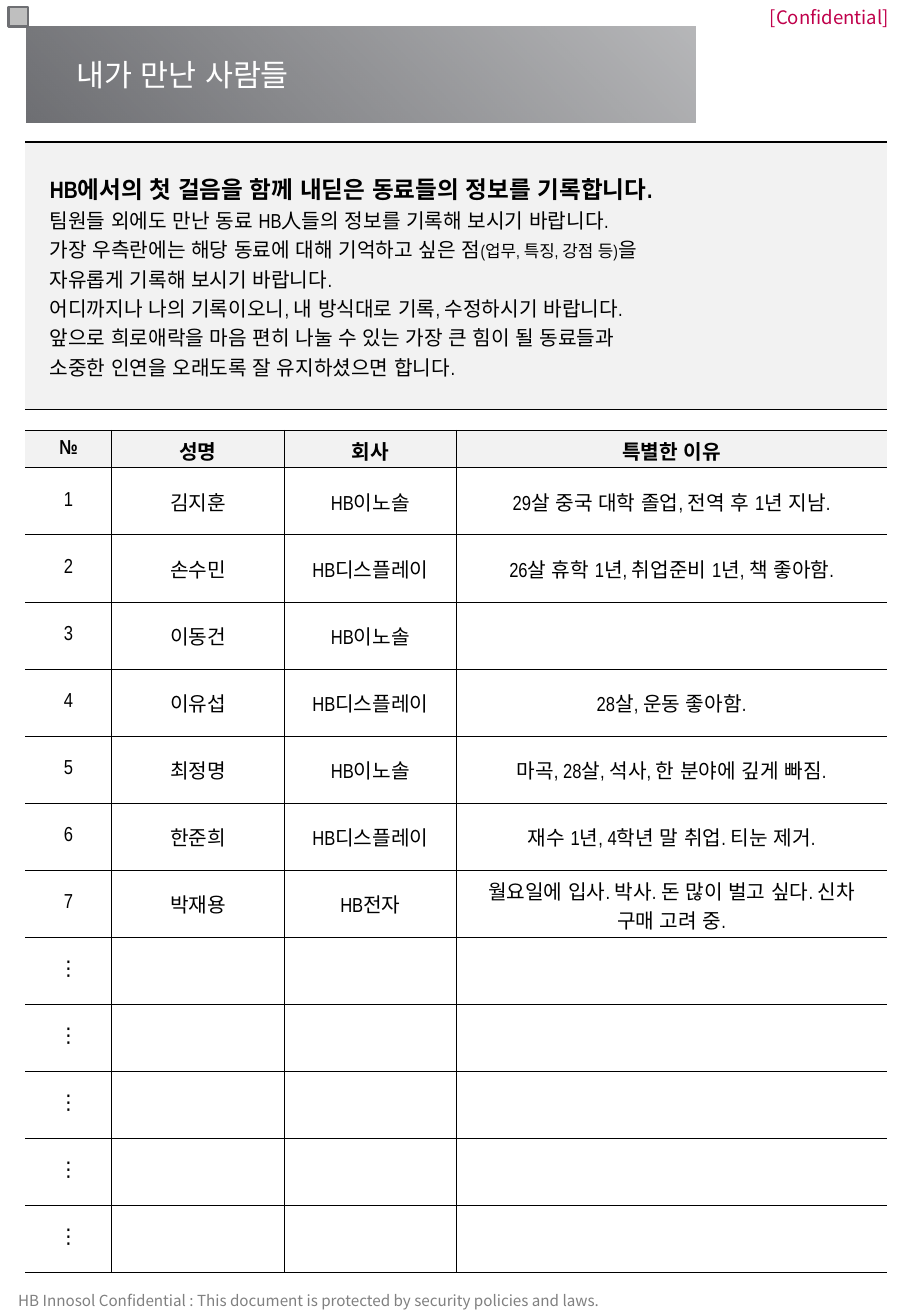
from lxml import etree
from pptx import Presentation
from pptx.dml.color import RGBColor
from pptx.enum.lang import MSO_LANGUAGE_ID
from pptx.enum.shapes import MSO_SHAPE
from pptx.enum.text import MSO_ANCHOR, PP_ALIGN
from pptx.oxml import parse_xml
from pptx.oxml.ns import nsdecls, qn
from pptx.util import Inches, Pt

RECT = MSO_SHAPE.RECTANGLE
MIDDLE, TOP = MSO_ANCHOR.MIDDLE, MSO_ANCHOR.TOP
LEFT, CENTER, RIGHT = PP_ALIGN.LEFT, PP_ALIGN.CENTER, PP_ALIGN.RIGHT
KOREAN = MSO_LANGUAGE_ID.KOREAN

SANS, NARROW = "Noto Sans CJK KR", "Arial Narrow"
BLACK, WHITE, PALE, GRAY = "000000", "FFFFFF", "F2F2F2", "6E6F73"

INTRO = [
    "HB에서의 첫 걸음을 함께 내딛은 동료들의 정보를 기록합니다.",
    "팀원들 외에도 만난 동료 HB人들의 정보를 기록해 보시기 바랍니다.",
    ["가장 우측란에는 해당 동료에 대해 기억하고 싶은 점", "(업무, 특징, 강점 등)", "을"],
    "자유롭게 기록해 보시기 바랍니다.",
    "어디까지나 나의 기록이오니, 내 방식대로 기록, 수정하시기 바랍니다.",
    "앞으로 희로애락을 마음 편히 나눌 수 있는 가장 큰 힘이 될 동료들과",
    "소중한 인연을 오래도록 잘 유지하셨으면 합니다.",
]
HEAD = ["№", "성명", "회사", "특별한 이유"]
PEOPLE = [
    ["김지훈", "HB이노솔", "29살 중국 대학 졸업, 전역 후 1년 지남."],
    ["손수민", "HB디스플레이", "26살 휴학 1년, 취업준비 1년, 책 좋아함."],
    ["이동건", "HB이노솔", ""],
    ["이유섭", "HB디스플레이", "28살, 운동 좋아함."],
    ["최정명", "HB이노솔", "마곡, 28살, 석사, 한 분야에 깊게 빠짐."],
    ["한준희", "HB디스플레이", "재수 1년, 4학년 말 취업. 티눈 제거."],
    ["박재용", "HB전자", "월요일에 입사. 박사. 돈 많이 벌고 싶다. 신차 구매 고려 중."],
]
SPARE = 5


def rgb(code):
    return RGBColor.from_string(code)


class Page:
    def __init__(self, slide):
        self.slide = slide

    def style(self, run, size, face, color=BLACK, bold=False):
        font = run.font
        font.size, font.name, font.bold = Pt(size), face, bold
        font.color.rgb = rgb(color)
        font.language_id = KOREAN
        east = etree.SubElement(run._r.get_or_add_rPr(), qn("a:ea"))
        east.set("typeface", SANS)

    def text(self, x, y, w, h, words, size, color, align=LEFT,
             pad=(0, 0, 0, 0), anchor=MIDDLE, wrap=True):
        """Add one line of text; pad is left, top, right, bottom."""
        box = self.slide.shapes.add_textbox(Inches(x), Inches(y), Inches(w), Inches(h))
        frame = box.text_frame
        frame.word_wrap, frame.vertical_anchor = wrap, anchor
        (frame.margin_left, frame.margin_top,
         frame.margin_right, frame.margin_bottom) = map(Inches, pad)
        frame.text = words
        line = frame.paragraphs[0]
        line.alignment = align
        self.style(line.runs[0], size, SANS, color)

    def box(self, x, y, w, h, fill):
        shape = self.slide.shapes.add_shape(RECT, Inches(x), Inches(y), Inches(w), Inches(h))
        shape.shadow.inherit = False
        shape.fill.solid()
        shape.fill.fore_color.rgb = rgb(fill)
        shape.line.fill.background()
        return shape

    def fade(self, shape, color):
        """Fill with a radial fade that is half clear at the top right corner."""
        solid = shape._element.spPr.find(qn("a:solidFill"))
        solid.getparent().replace(solid, parse_xml(
            f'<a:gradFill {nsdecls("a")} rotWithShape="1"><a:gsLst>'
            f'<a:gs pos="0"><a:srgbClr val="{color}"><a:alpha val="50000"/></a:srgbClr></a:gs>'
            f'<a:gs pos="100000"><a:srgbClr val="{color}"/></a:gs></a:gsLst>'
            '<a:path path="circle"><a:fillToRect l="100000" b="100000"/></a:path>'
            '</a:gradFill>'))

    def table(self, x, y, cols, rows):
        frame = self.slide.shapes.add_table(
            len(rows), len(cols), Inches(x), Inches(y), Inches(sum(cols)), Inches(sum(rows)))
        table = frame.table
        table.first_row = table.horz_banding = False
        for col, width in zip(table.columns, cols):
            col.width = Inches(width)
        for row, height in zip(table.rows, rows):
            row.height = Inches(height)
        return table

    def cell(self, cell, fill, sides, width):
        """Draw the borders named in sides (L, R, T, B) and fill the cell."""
        props = cell._tc.get_or_add_tcPr()
        for side in "LRTB":
            edge = etree.SubElement(props, qn(f"a:ln{side}"), w=str(Pt(width)))
            if side in sides:
                paint = etree.SubElement(edge, qn("a:solidFill"))
                etree.SubElement(paint, qn("a:srgbClr"), val=BLACK)
            else:
                etree.SubElement(edge, qn("a:noFill"))
        cell.fill.solid()
        cell.fill.fore_color.rgb = rgb(fill)
        cell.vertical_anchor = MIDDLE

    def intro(self):
        cell = self.table(0.21, 1.17, [7.09], [2.2]).cell(0, 0)
        self.cell(cell, PALE, "TB", 1)
        cell.margin_left = cell.margin_right = Inches(0.2)
        frame = cell.text_frame
        for i, line in enumerate(INTRO):
            para = frame.add_paragraph() if i else frame.paragraphs[0]
            parts = [line] if isinstance(line, str) else line
            for j, part in enumerate(parts):
                run = para.add_run()
                run.text = part
                size = 14 if i == 0 else 10 if j == 1 else 12
                self.style(run, size, NARROW, bold=i == 0)

    def roster(self):
        rows = [HEAD]
        rows += [[str(i), *person] for i, person in enumerate(PEOPLE, 1)]
        rows += [["⋮", "", "", ""]] * SPARE
        cols = [0.71, 1.42, 1.42, 3.54]
        count = len(rows) - 1
        table = self.table(0.21, 3.54, cols, [0.31] + [6.62 / count] * count)
        for i, row in enumerate(rows):
            for j, words in enumerate(row):
                cell = table.cell(i, j)
                sides = "TB" + "L" * (j > 0) + "R" * (j < len(cols) - 1)
                self.cell(cell, WHITE if i else PALE, sides, 0.5)
                para = cell.text_frame.paragraphs[0]
                para.alignment = CENTER
                if words:
                    para.text = words
                    self.style(para.runs[0], 12, NARROW, bold=i == 0)


def main():
    deck = Presentation()
    deck.slide_width, deck.slide_height = Inches(7.5), Inches(10.83)
    page = Page(deck.slides.add_slide(deck.slide_layouts[6]))
    page.text(0, 10.58, 5.07, 0.25,
              "HB Innosol Confidential : This document is protected by security policies and laws.",
              9, "808080", pad=(0.15, 0, 0, 0))
    page.text(6.18, 0, 1.32, 0.28, "[Confidential]", 11, "C0004B", RIGHT, (0, 0, 0.18, 0))
    page.fade(page.box(0.22, 0.22, 5.51, 0.79, GRAY), GRAY)
    mark = page.box(0.07, 0.06, 0.16, 0.16, "BFBFBF")
    mark.line.color.rgb = rgb(GRAY)
    mark.line.width = Pt(1.5)
    page.text(0.53, 0.41, 2.01, 0.4, "내가 만난 사람들", 18, WHITE,
              pad=(0.1, 0.05, 0.1, 0.05), anchor=TOP, wrap=False)
    page.intro()
    page.roster()
    deck.save("out.pptx")


if __name__ == "__main__":
    main()
